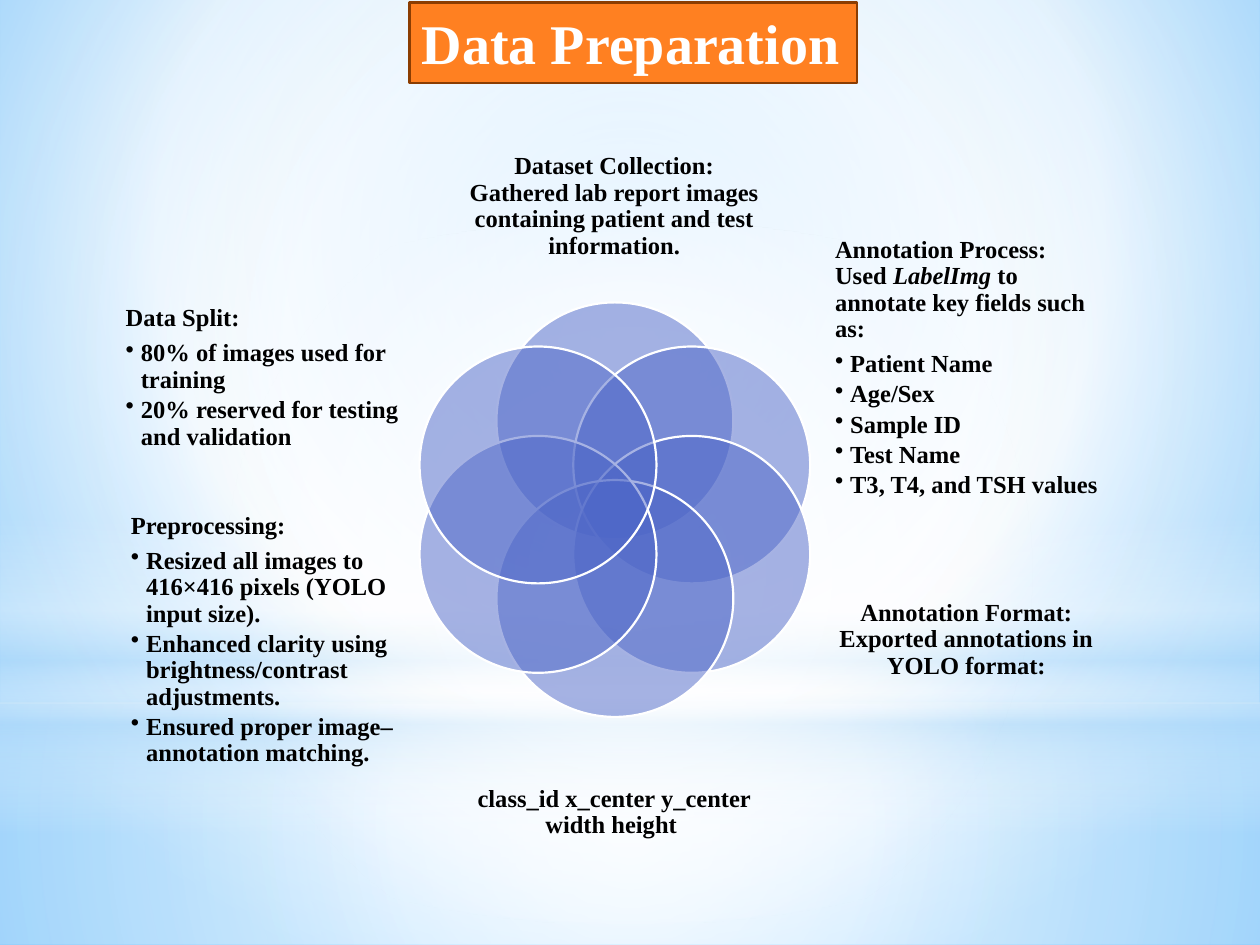
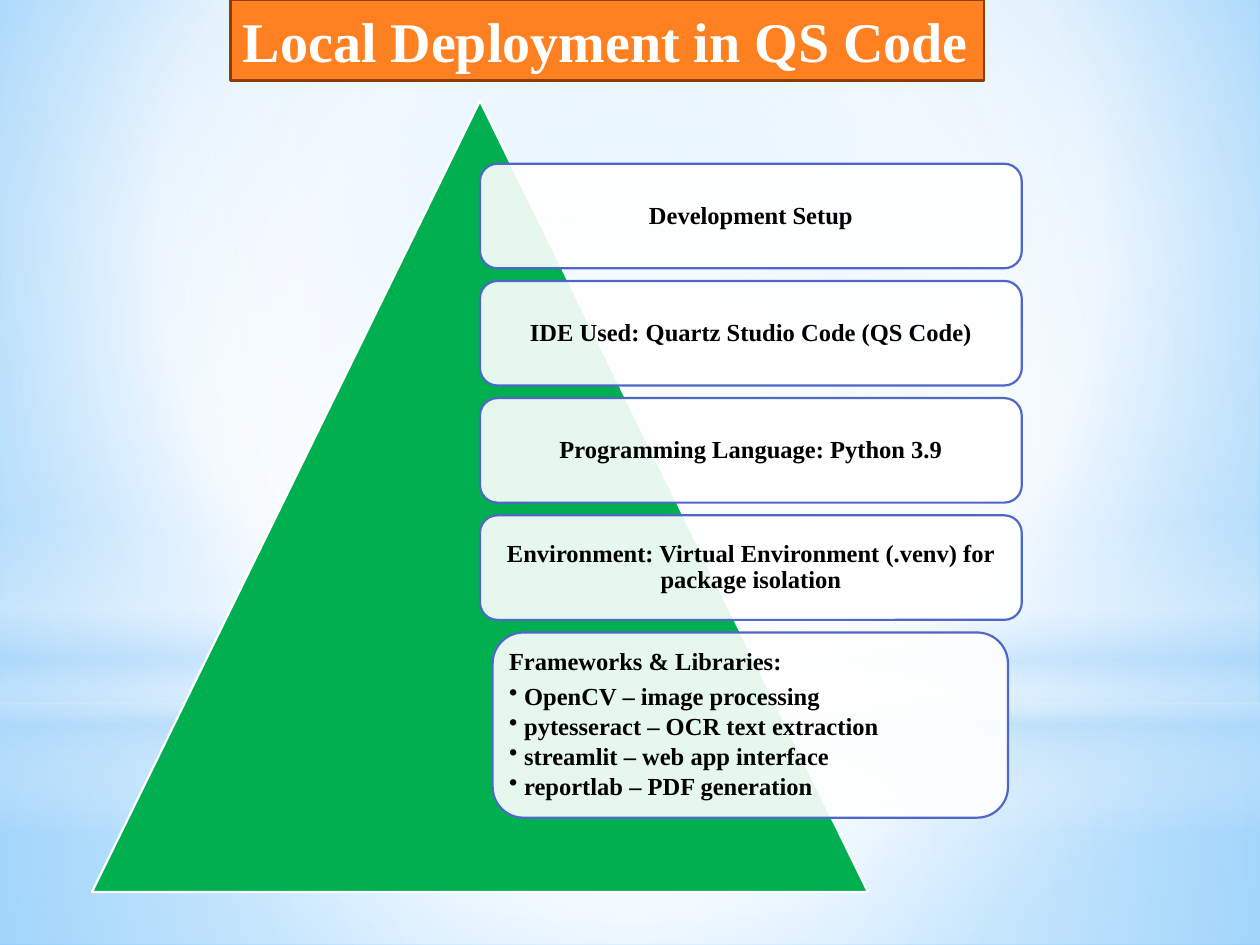
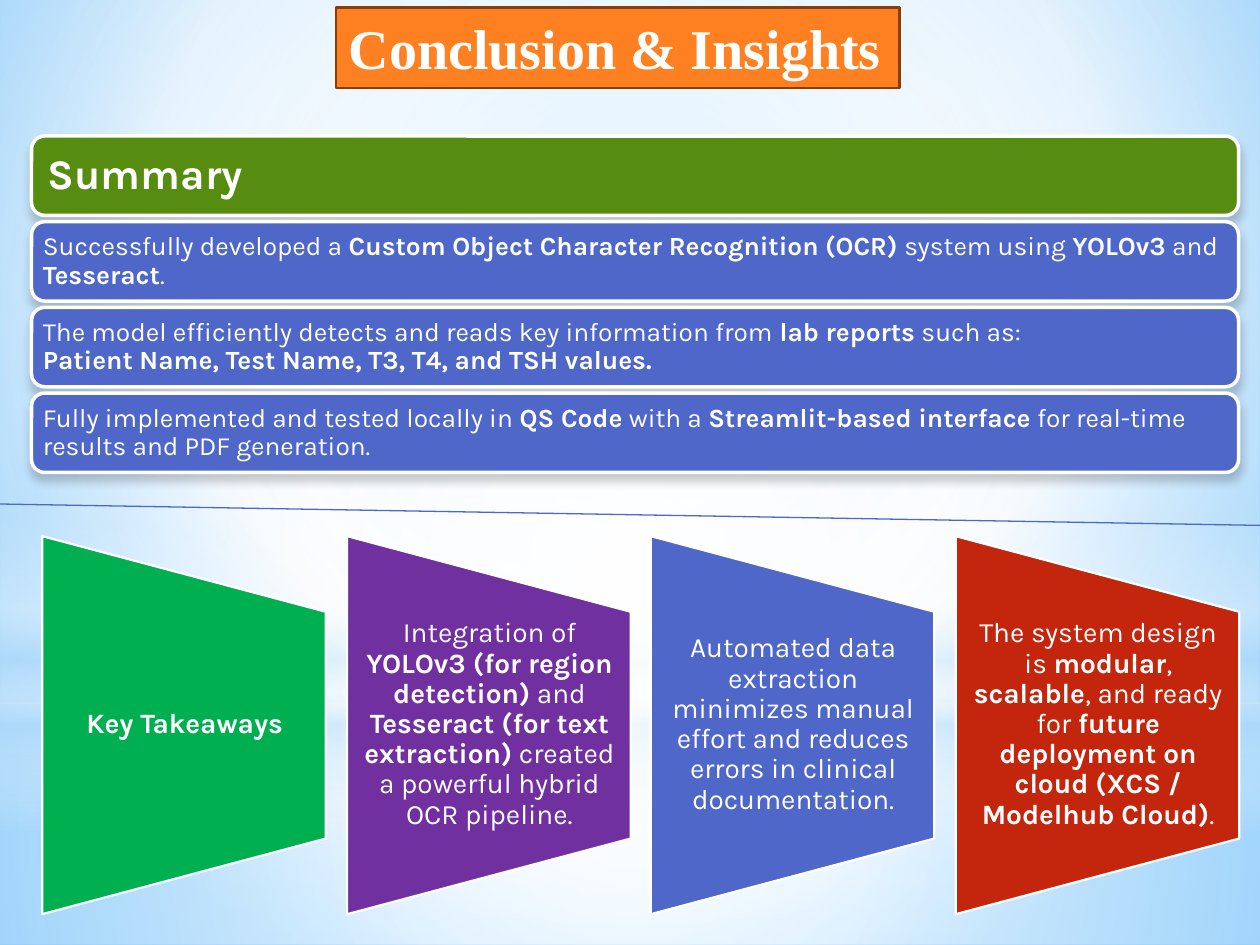
import math

import pptx
import pptx.dml.color
import pptx.enum.shapes
import pptx.enum.text
import pptx.oxml
import pptx.oxml.ns
import pptx.util

RGB = pptx.dml.color.RGBColor
SHAPE = pptx.enum.shapes.MSO_SHAPE
ALIGN = pptx.enum.text.PP_ALIGN
ANCHOR = pptx.enum.text.MSO_ANCHOR
qn = pptx.oxml.ns.qn

EMU_PER_PX = 9144
WIDTH, HEIGHT = 1000, 750

WHITE = RGB(0xFF, 0xFF, 0xFF)
BLACK = RGB(0x00, 0x00, 0x00)
ORANGE = RGB(0xFF, 0x80, 0x21)
BROWN = RGB(0x8B, 0x3D, 0x02)
BLUE = RGB(0x4E, 0x67, 0xC8)
GREEN = RGB(0x00, 0xB0, 0x50)
OLIVE = RGB(0x56, 0x8D, 0x11)
PURPLE = RGB(0x70, 0x30, 0xA0)
RED = RGB(0xC3, 0x26, 0x0C)
SKY = RGB(0xB4, 0xDC, 0xFA)
SKY_MID = RGB(0x9E, 0xD5, 0xFF)
SKY_EDGE = RGB(0x5B, 0xB9, 0xFF)

CENTRE = (50, 50, 50, 50)
SERIF = {"name": "Times New Roman", "bold": True, "size": pptx.util.Pt(14)}
TITLE = {**SERIF, "size": pptx.util.Pt(32)}
KARLA = {"name": "Karla", "bold": False, "size": pptx.util.Pt(15)}
HEADING = {**KARLA, "bold": True, "size": pptx.util.Pt(24)}
TAKEAWAY = {**KARLA, "size": pptx.util.Pt(16)}

GLOWS = [
    (SHAPE.RECTANGLE, 0, 558, 192, CENTRE,
     [(0, WHITE, 91), (37, WHITE, 76), (100, SKY, 79)]),
    (SHAPE.RECTANGLE, 0, 0, 558, CENTRE,
     [(0, WHITE, 89), (48, WHITE, 62), (100, SKY, 79)]),
    (SHAPE.RECTANGLE, 0, 412, 250, None,
     [(0, WHITE, 0), (29, WHITE, 30), (45, SKY, 40),
      (55, WHITE, 26), (65, SKY, 60), (100, WHITE, 0)]),
    (SHAPE.OVAL, 0, 175, 558, CENTRE, [(0, WHITE, 100), (56, WHITE, 0)]),
]


def px(n):
    return pptx.util.Emu(n * EMU_PER_PX)


def xml(tag, body="", **attrs):
    listed = "".join(f' {k}="{v}"' for k, v in attrs.items())
    return pptx.oxml.parse_xml(
        f'<a:{tag} {pptx.oxml.ns.nsdecls("a")}{listed}>{body}</a:{tag}>')


def set_gradient(fill, owner, stops, focus):
    fill.gradient()
    grad = next(owner.iter(qn("a:gradFill")))
    grad.clear()
    grad.append(xml("gsLst", "".join(
        f'<a:gs pos="{pos * 1000}"><a:srgbClr val="{color}">'
        f'<a:alpha val="{alpha * 1000}"/></a:srgbClr></a:gs>'
        for pos, color, alpha in stops)))
    if focus:
        sides = " ".join(f'{k}="{v * 1000}"' for k, v in zip("ltrb", focus))
        grad.append(xml("path", f"<a:fillToRect {sides}/>", path="circle"))
    else:
        grad.append(xml("lin", ang=5400000, scaled=0))


class Deck:
    """Holds the shared style and the current slide."""

    def __init__(self):
        self.prs = pptx.Presentation()
        self.prs.slide_width, self.prs.slide_height = px(WIDTH), px(HEIGHT)
        master = self.prs.slide_master
        set_gradient(master.background.fill, master.element,
                     [(0, SKY_MID, 100), (60, WHITE, 100), (100, SKY_EDGE, 100)],
                     (20, 10, 20, 60))

    def slide(self, title, x, y, w):
        self.s = self.prs.slides.add_slide(self.prs.slide_layouts[6])
        for kind, left, top, height, focus, stops in GLOWS:
            sp = self.shape(kind, left, top, WIDTH, height)
            set_gradient(sp.fill, sp._element, stops, focus)
        sp = self.shape(SHAPE.RECTANGLE, x, y, w, 64, ORANGE, BROWN)
        tf = sp.text_frame
        tf.word_wrap = False
        tf.auto_size = pptx.enum.text.MSO_AUTO_SIZE.SHAPE_TO_FIT_TEXT
        tf.vertical_anchor = ANCHOR.TOP
        p = tf.paragraphs[0]
        p.alignment = ALIGN.LEFT
        self.runs(p, title, TITLE, WHITE)

    def shape(self, kind, x, y, w, h, fill=None, line=None, weight=1.25, alpha=None):
        sp = self.s.shapes.add_shape(kind, px(x), px(y), px(w), px(h))
        sp.shadow.inherit = False
        if fill is not None:
            sp.fill.solid()
            sp.fill.fore_color.rgb = fill
        if alpha:
            color = next(sp._element.spPr.iter(qn("a:srgbClr")))
            color.append(xml("alpha", val=alpha * 1000))
        if line is None:
            sp.line.fill.background()
        else:
            sp.line.color.rgb = line
            sp.line.width = pptx.util.Pt(weight)
        return sp

    def drop_shadow(self, sp):
        effects = sp._element.spPr.find(qn("a:effectLst"))
        effects.append(xml(
            "outerShdw", '<a:srgbClr val="000000"><a:alpha val="20000"/></a:srgbClr>',
            blurRad=63500, dist=50800, dir=5400000, rotWithShape=0))

    def runs(self, p, text, fmt, color, mark="bold"):
        for i, piece in enumerate(text.split("*")):
            for j, line in enumerate(piece.split("\n")):
                if j:
                    p.add_line_break()
                if not line:
                    continue
                r = p.add_run()
                r.text = line
                for name, value in {**fmt, **({mark: True} if i % 2 else {})}.items():
                    setattr(r.font, name, value)
                r.font.color.rgb = color

    def label(self, x, y, w, h, text, bullets=(), fmt=SERIF, color=BLACK, align=ALIGN.CENTER,
              anchor=ANCHOR.MIDDLE, inset=(0, 0), mark="bold", block_centred=False):
        sp = self.s.shapes.add_textbox(px(x), px(y), px(w), px(h))
        tf = sp.text_frame
        side, end = map(px, inset)
        frame = {"word_wrap": True, "vertical_anchor": anchor, "margin_left": side,
                 "margin_right": side, "margin_top": end, "margin_bottom": end}
        for name, value in frame.items():
            setattr(tf, name, value)
        if block_centred:
            tf._txBody.bodyPr.set("anchorCtr", "1")
        for i, line in enumerate([text, *bullets]):
            p = tf.add_paragraph() if i else tf.paragraphs[0]
            gap = 0.15 if i else 0.35
            layout = {"alignment": align, "line_spacing": 0.9, "level": min(i, 1),
                      "space_after": pptx.util.Pt(fmt["size"].pt * gap)}
            for name, value in layout.items():
                setattr(p, name, value)
            if i:
                pPr = p._p.get_or_add_pPr()
                pPr.set("marL", str(px(12)))
                pPr.set("indent", str(px(-12)))
                pPr.append(xml("buChar", char="•"))
            self.runs(p, line, fmt, color, mark)

    def line(self, x1, y1, x2, y2, color, weight):
        c = self.s.shapes.add_connector(
            pptx.enum.shapes.MSO_CONNECTOR.STRAIGHT, px(x1), px(y1), px(x2), px(y2))
        c.line.color.rgb = color
        c.line.width = pptx.util.Pt(weight)
        c._element.spPr.append(xml("effectLst"))


def data_preparation(deck):
    deck.slide("Data Preparation", 325, 2, 355)
    topics = [
        (370, 100, 235, 128, "Dataset Collection:\nGathered lab report images "
         "containing patient and test information.", []),
        (656, 222, 222, 140, "Annotation Process:\nUsed *LabelImg* to annotate key fields such as:",
         ["Patient Name", "Age/Sex", "Sample ID", "Test Name", "T3, T4, and TSH values"]),
        (656, 430, 222, 156, "Annotation Format:\nExported annotations in YOLO format:", []),
        (370, 581, 235, 128, "class_id x_center y_center width height ", []),
        (97, 430, 222, 156, "Preprocessing:",
         ["Resized all images to 416×416 pixels (YOLO input size).",
          "Enhanced clarity using brightness/contrast adjustments.",
          "Ensured proper image–annotation matching."]),
        (97, 222, 222, 156, "Data Split:",
         ["80% of images used for training", "20% reserved for testing and validation"]),
    ]
    size, orbit = 188, 70.5
    for i, (x, y, w, h, text, bullets) in enumerate(topics):
        angle = math.radians(60 * i)
        left = round(394 + orbit * math.sin(angle))
        top = round(310.5 - orbit * math.cos(angle))
        deck.shape(SHAPE.OVAL, left, top, size, size, BLUE, WHITE, alpha=50)
        deck.label(x, y, w, h, text, bullets, mark="italic", block_centred=True,
                   align=ALIGN.LEFT if bullets else ALIGN.CENTER)


def local_deployment(deck):
    deck.slide("Local Deployment in QS Code", 183, 0, 598)
    deck.shape(SHAPE.ISOSCELES_TRIANGLE, 73, 80, 616, 628, GREEN, WHITE)
    steps = ["Development Setup", "IDE Used: Quartz Studio Code (QS Code)",
             "Programming Language: Python 3.9",
             "Environment: Virtual Environment (.venv) for package isolation"]
    cards = [(381, 130 + 93 * i, 430, 83, 4, text, [], ALIGN.CENTER, ANCHOR.MIDDLE)
             for i, text in enumerate(steps)]
    cards.append((391, 502, 409, 147, 7, "Frameworks & Libraries:",
                  ["OpenCV – image processing", "pytesseract – OCR text extraction",
                   "streamlit – web app interface", "reportlab – PDF generation"],
                  ALIGN.LEFT, ANCHOR.TOP))
    for x, y, w, h, pad, text, bullets, align, anchor in cards:
        deck.shape(SHAPE.ROUNDED_RECTANGLE, x, y, w, h, WHITE, BLUE, alpha=90)
        deck.label(x + pad, y + pad, w - 2 * pad, h - 2 * pad, text, bullets,
                   align=align, anchor=anchor, inset=(6, 6))


def conclusion(deck):
    deck.slide("Conclusion & Insights", 267, 6, 447)
    bars = [
        (OLIVE, HEADING, 10, "Summary"),
        (BLUE, KARLA, 6, "Successfully developed a *Custom Object Character Recognition (OCR)* "
         "system using *YOLOv3* and *Tesseract*."),
        (BLUE, KARLA, 6, "The model efficiently detects and reads key information from "
         "*lab reports* such as:\n*Patient Name, Test Name, T3, T4, and TSH values.*"),
        (BLUE, KARLA, 6, "Fully implemented and tested locally in *QS Code* with a "
         "*Streamlit-based interface* for real-time results and PDF generation."),
    ]
    for i, (fill, fmt, inset, text) in enumerate(bars):
        y = 108 + 68 * i
        sp = deck.shape(SHAPE.ROUNDED_RECTANGLE, 25, y, 958, 63, fill, WHITE, weight=2)
        deck.drop_shadow(sp)
        deck.label(28, y + 3, 952, 57, text, fmt=fmt, color=WHITE, align=ALIGN.LEFT,
                   inset=(inset, inset))
    takeaways = [
        (GREEN, "*Key Takeaways*"),
        (PURPLE, "Integration of *YOLOv3 (for region detection)* and *Tesseract (for text "
         "extraction)* created a powerful hybrid OCR pipeline."),
        (BLUE, "Automated data extraction minimizes manual effort and reduces errors in "
         "clinical documentation."),
        (RED, "The system design is *modular*, *scalable*, and ready for *future deployment "
         "on cloud (XCS / Modelhub Cloud)*."),
    ]
    for i, (fill, text) in enumerate(takeaways):
        x = round(-4 + 241.6 * i)
        sp = deck.shape(SHAPE.FLOWCHART_MANUAL_OPERATION, x, 463, 300, 225, fill, WHITE)
        sp.rotation = 270
        deck.label(x + 38, 485, 225, 180, text, fmt=TAKEAWAY, color=WHITE, inset=(11, 0))
    deck.line(0, 400, WIDTH, 417, BLUE, 0.75)


def main():
    deck = Deck()
    data_preparation(deck)
    local_deployment(deck)
    conclusion(deck)
    deck.prs.save("out.pptx")


if __name__ == "__main__":
    main()
